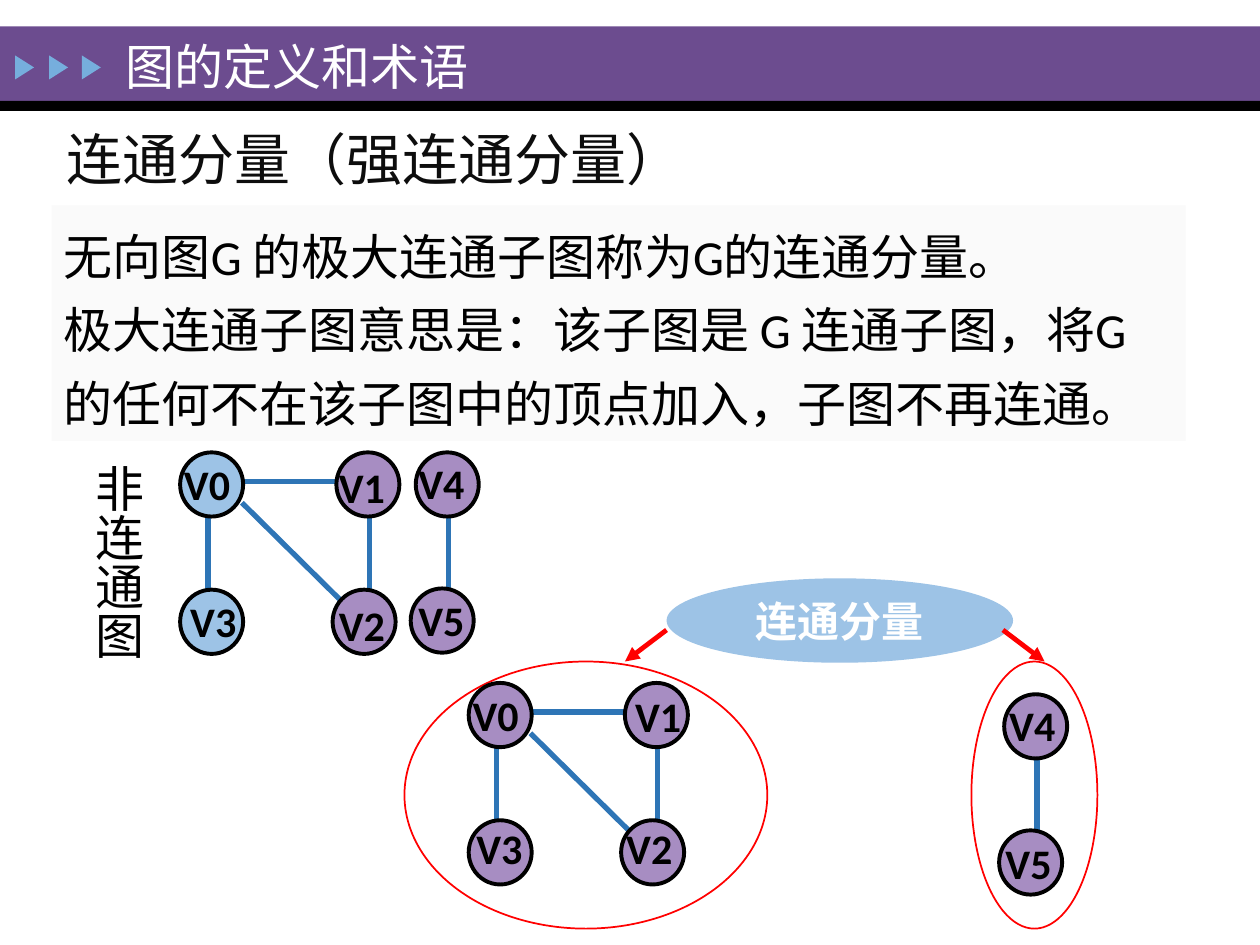
import pptx
import pptx.util
import pptx.dml.color
import pptx.enum.shapes
import pptx.enum.text
import pptx.oxml.ns
from lxml import etree

Inches = pptx.util.Inches
Pt = pptx.util.Pt
MSO = pptx.enum.shapes.MSO_SHAPE
ANCHOR = pptx.enum.text.MSO_ANCHOR
ALIGN = pptx.enum.text.PP_ALIGN

COLORS = {
    "band": "6C4C8F", "black": "000000", "marker": "76AEDD", "heading": "0D0D0D",
    "panel": "FAFAFA", "white": "FFFFFF", "red": "FF0000", "edge": "2E75B6",
    "blue": "9DC3E6", "purple": "A78DC2",
}

SQUARE = {"V0": (0, 0), "V1": (1.24, 0), "V2": (1.21, 1.09), "V3": (0, 1.09)}
SQUARE_EDGES = [
    (0.49, 0.4, 1.31, 1.21), (0.22, 0.5, 0.22, 1.14),
    (0.5, 0.23, 1.28, 0.23), (1.5, 0.5, 1.5, 1.14),
]
PAIR = {"V4": (0, 0), "V5": (-0.04, 1.08)}
PAIR_EDGES = [(0.26, 0.45, 0.26, 1.09)]


def rgb(name):
    return pptx.dml.color.RGBColor.from_string(COLORS[name])


def add_shape(slide, kind, box, fill=None, line=None, width=1):
    sp = slide.shapes.add_shape(kind, *map(Inches, box))
    sp.shadow.inherit = False
    if fill:
        sp.fill.solid()
        sp.fill.fore_color.rgb = rgb(fill)
    else:
        sp.fill.background()
    if line:
        sp.line.color.rgb = rgb(line)
        sp.line.width = Pt(width)
    else:
        sp.line.fill.background()
    return sp


def set_text(sp, text, size, color, bold=False, align=ALIGN.LEFT, anchor=ANCHOR.TOP, spacing=None):
    tf = sp.text_frame
    tf.word_wrap = True
    tf.vertical_anchor = anchor
    p = tf.paragraphs[0]
    p.text = text
    p.alignment = align
    p.line_spacing = spacing
    p.font.size = Pt(size)
    p.font.name = "Calibri"
    p.font.bold = bold
    p.font.color.rgb = rgb(color)


def add_text(slide, box, text, size, color, **style):
    sp = slide.shapes.add_textbox(*map(Inches, box))
    set_text(sp, text, size, color, **style)
    return sp


def add_line(slide, ends, color, width, arrow=False):
    line = slide.shapes.add_connector(
        pptx.enum.shapes.MSO_CONNECTOR.STRAIGHT, *map(Inches, ends))
    line.line.color.rgb = rgb(color)
    line.line.width = Pt(width)
    if arrow:
        etree.SubElement(line.line._get_or_add_ln(),
                         pptx.oxml.ns.qn("a:tailEnd"), type="triangle")
    etree.SubElement(line._element.spPr, pptx.oxml.ns.qn("a:effectLst"))


def add_node(slide, name, x, y, fill, label_shift):
    add_shape(slide, MSO.OVAL, (x, y, 0.5, 0.51), fill, "black", 2.25)
    dx, dy = label_shift
    sp = add_text(slide, (x + dx, y + dy, 0.71, 0.5), name, 24, "black", bold=True)
    sp.text_frame.margin_left = Inches(0.13)


def add_graph(slide, x, y, nodes, edges, label_shifts, blue=()):
    for x1, y1, x2, y2 in edges:
        add_line(slide, (x + x1, y + y1, x + x2, y + y2), "edge", 3)
    for name, (dx, dy) in nodes.items():
        fill = "blue" if name in blue else "purple"
        add_node(slide, name, x + dx, y + dy, fill, label_shifts[name])


def add_header(slide):
    add_shape(slide, MSO.RECTANGLE, (0, 0.21, 10, 0.59), "band")
    add_shape(slide, MSO.RECTANGLE, (0, 0.8, 10, 0.08), "black")
    for x in (0.1, 0.37, 0.63):
        sp = add_shape(slide, MSO.ISOSCELES_TRIANGLE, (x, 0.46, 0.19, 0.15), "marker")
        sp.rotation = 90
    add_text(slide, (0.9, 0.15, 6.73, 0.75), "图的定义和术语", 28, "white", anchor=ANCHOR.MIDDLE)


def add_definition(slide):
    add_text(slide, (0.43, 0.94, 6, 0.64), "连通分量（强连通分量）", 32, "heading")
    panel = add_shape(slide, MSO.RECTANGLE, (0.41, 1.63, 9, 1.87), "panel")
    set_text(panel, "无向图G 的极大连通子图称为G的连通分量。\v"
             "极大连通子图意思是：该子图是 G 连通子图，将G 的任何不在该子图中的顶点加入，子图不再连通。",
             28, "black", spacing=1.25)


def add_disconnected_graph(slide):
    sp = add_text(slide, (0.55, 3.59, 0.67, 2.08), "非连通图", 28, "black")
    sp._element.txBody.bodyPr.set("vert", "eaVert")
    shifts = {"V0": (-0.1, 0), "V1": (-0.11, 0.02), "V2": (-0.08, 0.03),
              "V3": (-0.05, 0), "V4": (-0.11, -0.01), "V5": (-0.07, 0)}
    add_graph(slide, 1.43, 3.59, SQUARE, SQUARE_EDGES, shifts, blue=("V0", "V3"))
    add_graph(slide, 3.3, 3.59, PAIR, PAIR_EDGES, shifts)


def add_components(slide):
    shifts = {"V0": (-0.1, 0), "V1": (-0.05, 0.01), "V2": (-0.09, -0.03),
              "V3": (-0.07, -0.03), "V4": (-0.09, -0.01), "V5": (-0.08, 0.01)}
    add_shape(slide, MSO.OVAL, (3.21, 5.25, 2.88, 2.12), line="red")
    add_graph(slide, 3.72, 5.42, SQUARE, SQUARE_EDGES, shifts)
    add_shape(slide, MSO.OVAL, (7.71, 5.25, 1, 2.12), line="red")
    add_graph(slide, 7.97, 5.51, PAIR, PAIR_EDGES, shifts)
    callout = add_shape(slide, MSO.OVAL, (5.29, 4.59, 2.75, 0.67), "blue")
    set_text(callout, "连通分量", 24, "white", bold=True, align=ALIGN.CENTER, anchor=ANCHOR.MIDDLE)
    for x1, x2 in ((5.29, 4.96), (7.96, 8.29)):
        add_line(slide, (x1, 5, x2, 5.25), "red", 2.75, arrow=True)


def main():
    prs = pptx.Presentation()
    prs.slide_width, prs.slide_height = Inches(10), Inches(7.5)
    slide = prs.slides.add_slide(prs.slide_layouts[6])
    add_header(slide)
    add_definition(slide)
    add_disconnected_graph(slide)
    add_components(slide)
    prs.save("out.pptx")


if __name__ == "__main__":
    main()
